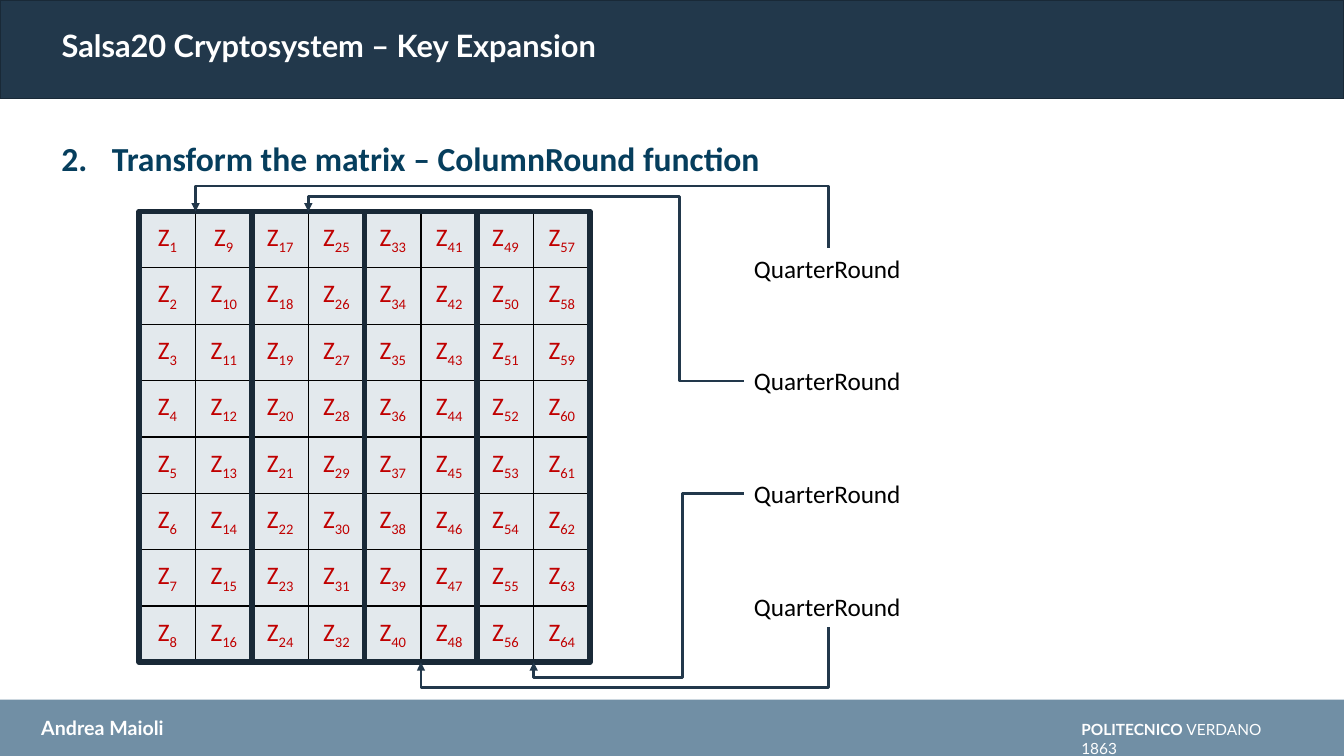
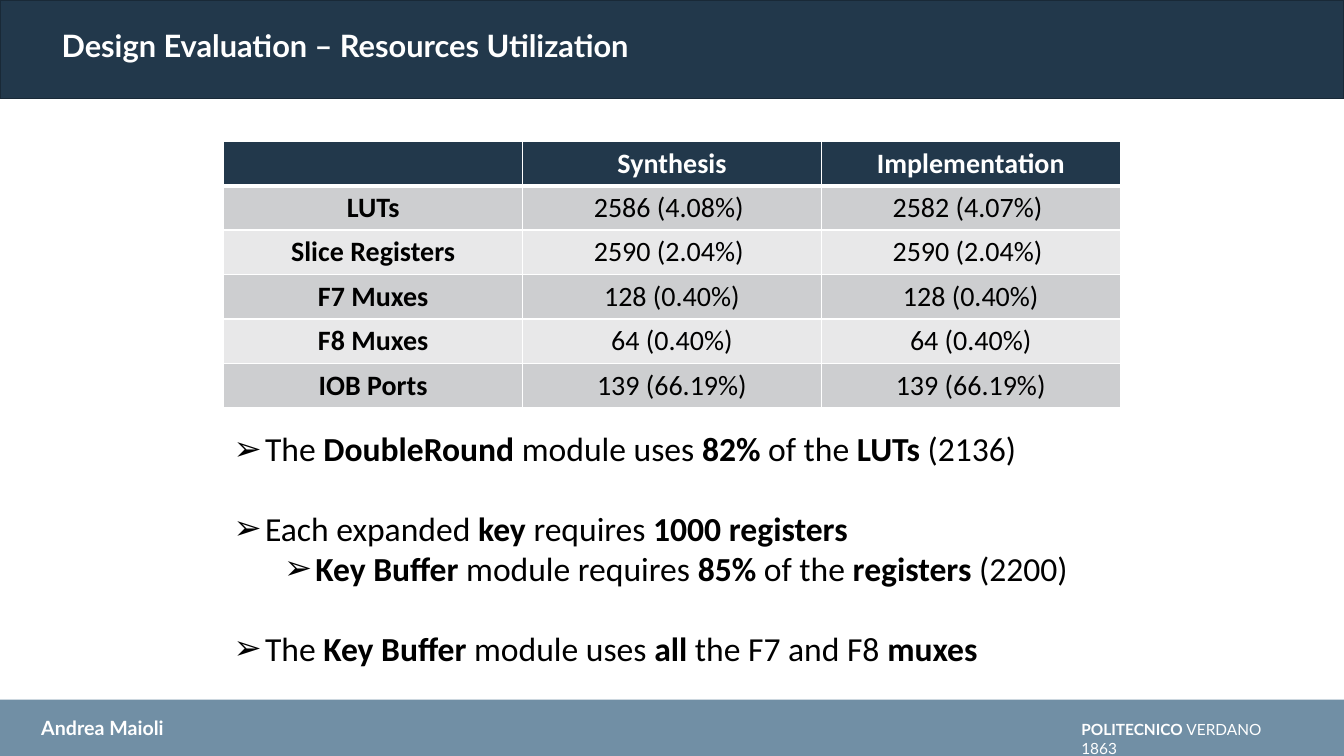
"""Build two slides on a stream cipher design: key expansion and resource use."""
from dataclasses import dataclass

from lxml import etree
from pptx import Presentation
from pptx import util as u
from pptx.dml.color import RGBColor
from pptx.enum import shapes, text
from pptx.oxml.ns import qn


@dataclass(frozen=True)
class Theme:
    """Colours, fonts and type sizes of the presentation."""
    navy: str = "22384B"
    edge: str = "192937"
    steel: str = "718FA5"
    heading: str = "063E5D"
    red: str = "C00000"
    cell: str = "E3E9ED"
    dark_row: str = "CDCED0"
    light_row: str = "E8E8E9"
    white: str = "FFFFFF"
    black: str = "000000"
    brand_font: str = "Lato"
    body_font: str = "Calibri"
    title_size: int = 22
    body_size: int = 24
    table_size: int = 20
    label_size: int = 18
    author_size: int = 14
    footer_size: int = 11


def add_xml(parent, tag, **attributes):
    """Append a drawing element with the given attributes."""
    return etree.SubElement(parent, qn(tag), attributes)


class Deck:
    """Hold the theme and the current slide, and draw each kind of element."""

    def __init__(self, theme):
        """Start an empty widescreen presentation."""
        self.theme = theme
        self.presentation = Presentation()
        self.presentation.slide_width = u.Cm(33.87)
        self.presentation.slide_height = u.Cm(19.05)
        self.layout = self.presentation.slide_layouts[5]
        self.slide = None

    def add_slide(self, title):
        """Add a slide with its title, furnishing the layout the first time."""
        theme = self.theme
        first = self.slide is None
        self.slide = self.presentation.slides.add_slide(self.layout)
        if first:
            self.furnish_layout()
        shape = self.slide.shapes.title
        shape.left, shape.top = u.Cm(1.3), u.Cm(0.64)
        shape.width, shape.height = u.Cm(15.62), u.Cm(0.91)
        frame = shape.text_frame
        frame.word_wrap = True
        frame.auto_size = text.MSO_AUTO_SIZE.NONE
        frame.vertical_anchor = text.MSO_ANCHOR.TOP
        paragraph = frame.paragraphs[0]
        paragraph.alignment = text.PP_ALIGN.LEFT
        paragraph.line_spacing = 0.9
        self.run(paragraph, title, theme.title_size, theme.white, True, theme.brand_font)

    def furnish_layout(self):
        """Place the bands and footer texts on the shared layout."""
        theme = self.theme
        footer = self.box(0, 17.63, 33.87, 1.42, fill=theme.steel)
        header = self.box(0, 0, 33.87, 2.49, fill=theme.navy, line=theme.edge)
        school = self.text_box(27, 18.03, 5.56, 0.74)
        author = self.text_box(0.79, 17.91, 7.77, 0.86)
        for shape, words, size, bold in (
            (school, "POLITECNICO", theme.footer_size, True),
            (school, " VERDANO 1863", theme.footer_size, False),
            (author, "Andrea Maioli", theme.author_size, True),
        ):
            paragraph = shape.text_frame.paragraphs[0]
            self.run(paragraph, words, size, theme.white, bold, theme.brand_font)
        for shape in (footer, header, school, author):
            self.layout.shapes.element.append(shape.element)

    def run(self, paragraph, words, size, color, bold=False, font=None, baseline=None):
        """Add one formatted run to a paragraph."""
        run = paragraph.add_run()
        run.text = words
        run.font.size = u.Pt(size)
        run.font.bold = bold
        run.font.name = font or self.theme.body_font
        run.font.color.rgb = RGBColor.from_string(color)
        if baseline:
            run.font._element.set("baseline", str(baseline))

    def box(self, left, top, width, height, fill=None, line=None, weight=1):
        """Add a rectangle with an optional fill and outline."""
        shape = self.slide.shapes.add_shape(
            shapes.MSO_SHAPE.RECTANGLE, u.Cm(left), u.Cm(top), u.Cm(width), u.Cm(height))
        shape.shadow.inherit = False
        if fill:
            shape.fill.solid()
            shape.fill.fore_color.rgb = RGBColor.from_string(fill)
        else:
            shape.fill.background()
        if line:
            shape.line.color.rgb = RGBColor.from_string(line)
            shape.line.width = u.Pt(weight)
        else:
            shape.line.fill.background()
        return shape

    def text_box(self, left, top, width, height, wrap=True):
        """Add an empty text box that grows with its text."""
        shape = self.slide.shapes.add_textbox(
            u.Cm(left), u.Cm(top), u.Cm(width), u.Cm(height))
        shape.text_frame.word_wrap = wrap
        shape.text_frame.auto_size = text.MSO_AUTO_SIZE.SHAPE_TO_FIT_TEXT
        return shape

    def label(self, left, top, width, height, words):
        """Add a short one-line label."""
        shape = self.text_box(left, top, width, height, wrap=False)
        self.run(shape.text_frame.paragraphs[0], words, self.theme.label_size, self.theme.black)
        return shape

    def indent(self, paragraph, margin, hanging):
        """Give a paragraph a hanging indent and return its properties."""
        properties = paragraph._p.get_or_add_pPr()
        properties.set("marL", str(u.Cm(margin)))
        properties.set("indent", str(-u.Cm(hanging)))
        return properties

    def numbered_heading(self, number, words):
        """Add the numbered heading under the title band."""
        shape = self.text_box(1.3, 3.35, 30.66, 1.27)
        paragraph = shape.text_frame.paragraphs[0]
        properties = self.indent(paragraph, 1.27, 1.27)
        add_xml(properties, "a:buFont", typeface="+mj-lt")
        add_xml(properties, "a:buAutoNum", type="arabicPeriod", startAt=str(number))
        self.run(paragraph, words, self.theme.body_size, self.theme.heading, True)

    def bullets(self, left, top, width, height, items):
        """Add bullets of (level, space before, parts), every second part bold."""
        frame = self.text_box(left, top, width, height).text_frame
        for index, (level, space, parts) in enumerate(items):
            paragraph = frame.add_paragraph() if index else frame.paragraphs[0]
            paragraph.level = level
            paragraph.space_before = u.Pt(space)
            properties = self.indent(paragraph, 0.79 + 1.27 * level, 0.79)
            add_xml(properties, "a:buFont", typeface="Arial")
            add_xml(properties, "a:buChar", char="➢")
            for position, words in enumerate(parts):
                if words:
                    self.run(paragraph, words, self.theme.body_size,
                             self.theme.black, position % 2 == 1)

    def table(self, left, top, columns, rows, column_width, row_height):
        """Add a table without banding and return it."""
        table = self.slide.shapes.add_table(
            rows, columns, u.Cm(left), u.Cm(top),
            u.Cm(column_width * columns), u.Cm(row_height * rows)).table
        table.first_row = table.horz_banding = False
        for column in table.columns:
            column.width = u.Cm(column_width)
        for row in table.rows:
            row.height = u.Cm(row_height)
        return table

    def cell(self, cell, fill, border, top=1, bottom=1):
        """Border and fill a cell and return its centred paragraph."""
        properties = cell._tc.get_or_add_tcPr()
        for side, weight in (("L", 1), ("R", 1), ("T", top), ("B", bottom)):
            line = add_xml(properties, f"a:ln{side}", w=str(u.Pt(weight)))
            add_xml(add_xml(line, "a:solidFill"), "a:srgbClr", val=border)
        cell.fill.solid()
        cell.fill.fore_color.rgb = RGBColor.from_string(fill)
        paragraph = cell.text_frame.paragraphs[0]
        paragraph.alignment = text.PP_ALIGN.CENTER
        return paragraph

    def bent_arrow(self, frame, label, above, site, lead, elbow=None):
        """Join a column frame to a label, with the arrowhead at the frame."""
        tip_x = frame.left + frame.width // 2
        tip_y = frame.top if above else frame.top + frame.height
        end_x = label.left if site == 1 else label.left + label.width // 2
        end_y = label.top + label.height * site // 2 if site != 1 else label.top + label.height // 2
        connector = self.slide.shapes.add_connector(
            shapes.MSO_CONNECTOR.ELBOW, tip_x, tip_y, end_x, end_y)
        connector.begin_connect(frame, 0 if above else 2)
        connector.end_connect(label, site)
        across, along = abs(end_x - tip_x), abs(end_y - tip_y)
        connector.left = (tip_x + end_x - along) // 2
        connector.top = (tip_y + end_y - across) // 2
        connector.width, connector.height = along, across
        properties = connector.element.spPr
        transform = properties.find(qn("a:xfrm"))
        transform.set("rot", str((270 if above else 90) * 60000))
        transform.set("flipH", "1")
        transform.set("flipV", "0" if above else "1")
        ratios = [-u.Cm(lead) / along]
        geometry = properties.find(qn("a:prstGeom"))
        if elbow:
            geometry.set("prst", "bentConnector4")
            ratios.append((u.Cm(elbow) - tip_x) / across)
        guides = geometry.find(qn("a:avLst"))
        for number, ratio in enumerate(ratios, 1):
            add_xml(guides, "a:gd", name=f"adj{number}", fmla=f"val {round(ratio * 100000)}")
        connector.line.color.rgb = RGBColor.from_string(self.theme.navy)
        connector.line.width = u.Pt(2)
        add_xml(properties.find(qn("a:ln")), "a:headEnd", type="triangle")
        add_xml(properties, "a:effectLst")


def key_expansion(deck):
    """Build the slide with the matrix and its four column rounds."""
    theme = deck.theme
    deck.add_slide("Salsa20 Cryptosystem – Key Expansion")
    deck.numbered_heading(2, "Transform the matrix – ColumnRound function")
    left, top, size, count = 3.51, 5.33, 1.42, 8
    pair = 2 * size
    matrix = deck.table(left, top, count, count, size, size)
    for row in range(count):
        for column in range(count):
            cell = matrix.cell(row, column)
            cell.vertical_anchor = text.MSO_ANCHOR.MIDDLE
            paragraph = deck.cell(cell, theme.cell, theme.black)
            deck.run(paragraph, "Z", theme.label_size, theme.red)
            deck.run(paragraph, str(column * count + row + 1), theme.label_size,
                     theme.red, baseline=-25000)
    frames = [deck.box(left + pair * index, top, pair, size * count, line=theme.edge, weight=4)
              for index in range(4)]
    labels = [deck.label(18.75, 6.25 + pair * index, 4.24, 1.02, "QuarterRound")
              for index in range(4)]
    deck.bent_arrow(frames[0], labels[0], True, 0, 0.64)
    deck.bent_arrow(frames[1], labels[1], True, 1, 0.38, 17.13)
    deck.bent_arrow(frames[2], labels[3], False, 2, 0.64)
    deck.bent_arrow(frames[3], labels[2], False, 1, 0.39, 17.2)


def resources(deck):
    """Build the slide with the resource table and its findings."""
    theme = deck.theme
    deck.add_slide("Design Evaluation – Resources Utilization")
    rows = (
        ("", "Synthesis", "Implementation"),
        ("LUTs", "2586 (4.08%) ", "2582 (4.07%) "),
        ("Slice Registers", "2590 (2.04%) ", "2590 (2.04%) "),
        ("F7 Muxes", "128 (0.40%)", "128 (0.40%)"),
        ("F8 Muxes", "64 (0.40%)", "64 (0.40%)"),
        ("IOB Ports", "139 (66.19%)", "139 (66.19%)"),
    )
    table = deck.table(5.64, 3.56, 3, len(rows), 7.53, 1.1)
    for row, values in enumerate(rows):
        header = row == 0
        fill = theme.navy if header else (theme.light_row, theme.dark_row)[row % 2]
        for column, value in enumerate(values):
            paragraph = deck.cell(table.cell(row, column), fill, theme.white,
                                  top=3 if row == 1 else 1, bottom=3 if header else 1)
            if value:
                deck.run(paragraph, value, theme.table_size,
                         theme.white if header else theme.black, header or column == 0)
    deck.bullets(5.64, 10.67, 27, 6.4, (
        (0, 0, ("The ", "DoubleRound", " module uses ", "82%", " of the ", "LUTs", " (2136)")),
        (0, 28, ("Each expanded ", "key", " requires ", "1000 registers")),
        (1, 0, ("", "Key Buffer", " module requires ", "85% ", "of the ", "registers", " (2200)")),
        (0, 28, ("The ", "Key Buffer", " module uses ", "all", " the F7 and F8 ", "muxes")),
    ))


def main():
    """Build and save the presentation."""
    deck = Deck(Theme())
    key_expansion(deck)
    resources(deck)
    deck.presentation.save("out.pptx")


if __name__ == "__main__":
    main()
